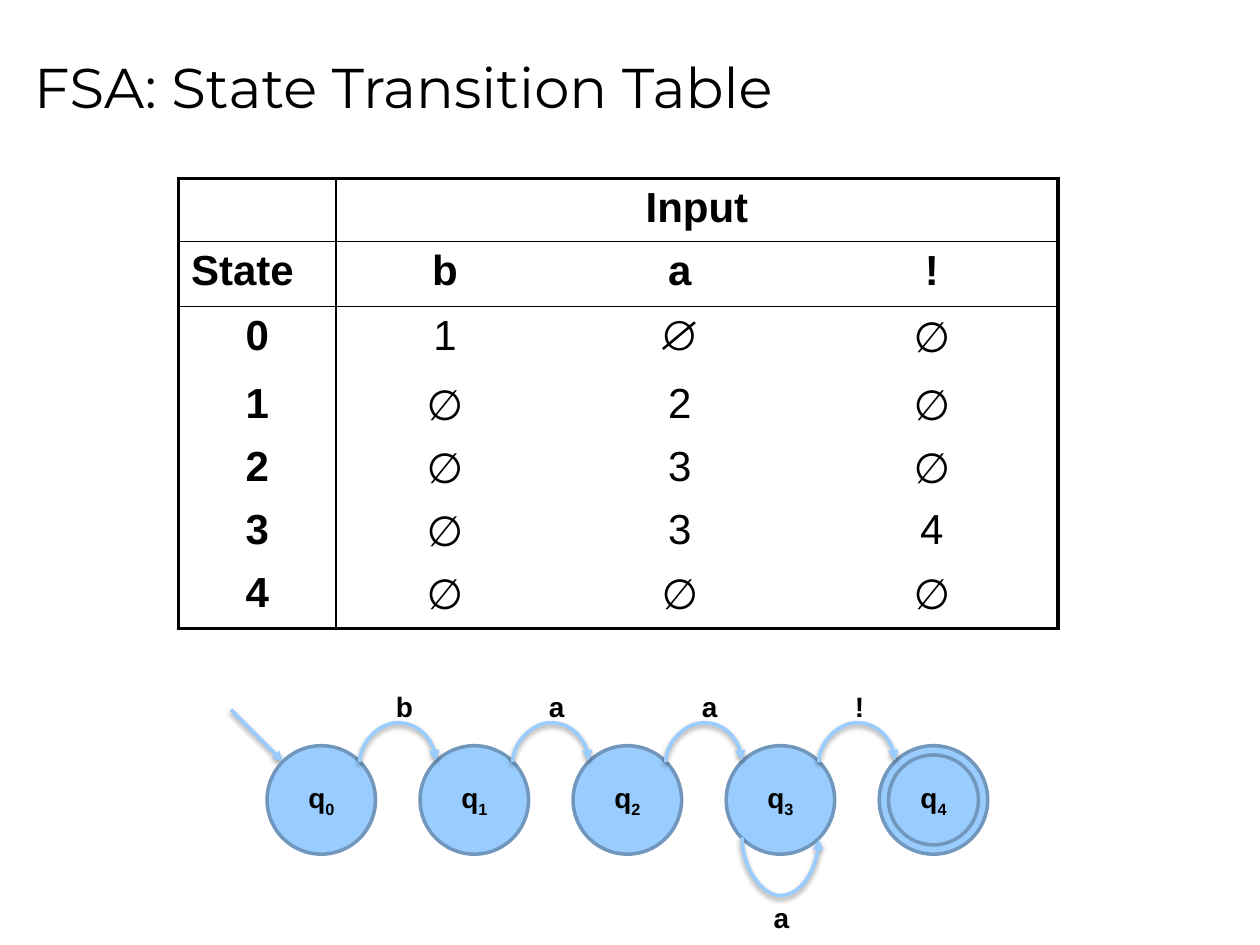
"""Build a slide with a state transition table and its automaton diagram."""
import math

import pptx
import pptx.dml.color
import pptx.enum.shapes
import pptx.enum.text
import pptx.oxml
import pptx.oxml.ns
import pptx.util

Pt = pptx.util.Pt
ALIGN = pptx.enum.text.PP_ALIGN
ANCHOR = pptx.enum.text.MSO_ANCHOR
CONNECTOR = pptx.enum.shapes.MSO_CONNECTOR
NAMESPACE = pptx.oxml.ns.nsdecls("a")

COLORS = {"text": "000000", "state": "99CCFF", "outline": "7197BD"}
TITLE = "FSA: State Transition Table"
TABLE_ROWS = [
    ["", "Input", "", ""],
    ["State", "b", "a", "!"],
    ["0", "1", "∅", "∅"],
    ["1", "∅", "2", "∅"],
    ["2", "∅", "3", "∅"],
    ["3", "∅", "3", "4"],
    ["4", "∅", "∅", "∅"],
]
COLUMN_WIDTHS = [90, 124.5, 144, 144]
ROW_HEIGHTS = [36, 37.2, 38.5, 34, 35.3, 36, 37.2]
TABLE_LEFT, TABLE_TOP = 102, 102
THICK, THIN = 2.25, 1
STATES = ["0", "1", "2", "3", "4"]
TRANSITIONS = ["b", "a", "a", "!"]
LOOP_STATE, LOOP_LABEL = 3, "a"
STATE_LEFT, STATE_TOP, STATE_SIZE, STATE_PITCH = 152.6, 426.1, 62, 87.45
RING_GAP = 5.3
CORNER = STATE_SIZE / 2 * (1 - math.sqrt(0.5))
CHORD = STATE_SIZE - 2 * CORNER
SITES = {"top left": 1, "bottom left": 3, "bottom right": 5, "top right": 7}


def rgb(name):
    return pptx.dml.color.RGBColor.from_string(COLORS[name])


def add_run(paragraph, text, size, font="Arial", bold=False):
    run = paragraph.add_run()
    run.text = text
    run.font.size, run.font.name, run.font.bold = Pt(size), font, bold
    run.font.color.rgb = rgb("text")
    return run


def add_text(slide, text, left, top, width, height, size, font, bold, wrap, anchor):
    box = slide.shapes.add_textbox(Pt(left), Pt(top), Pt(width), Pt(height))
    frame = box.text_frame
    frame.word_wrap, frame.vertical_anchor = wrap, anchor
    add_run(frame.paragraphs[0], text, size, font, bold)


def add_label(slide, text, left, top):
    add_text(slide, text, left, top, 21, 23, 16, "Arial", True, False, ANCHOR.TOP)


def set_borders(cell, row, column, last_column):
    last_row = len(TABLE_ROWS) - 1
    widths = {
        "L": THICK if column == 0 else THIN if column == 1 else 0,
        "R": THICK if last_column == len(COLUMN_WIDTHS) - 1 else THIN if column == 0 else 0,
        "T": THICK if row == 0 else THIN if row in (1, 2) else 0,
        "B": THICK if row == last_row else THIN if row in (0, 1) else 0,
    }
    properties = cell._tc.get_or_add_tcPr()
    for side, width in widths.items():
        paint = f'<a:solidFill><a:srgbClr val="{COLORS["text"]}"/></a:solidFill>' if width else "<a:noFill/>"
        properties.append(pptx.oxml.parse_xml(
            f'<a:ln{side} {NAMESPACE} w="{Pt(width)}">{paint}</a:ln{side}>'))


def add_transition_table(slide):
    frame = slide.shapes.add_table(
        len(ROW_HEIGHTS), len(COLUMN_WIDTHS), Pt(TABLE_LEFT), Pt(TABLE_TOP),
        Pt(sum(COLUMN_WIDTHS)), Pt(sum(ROW_HEIGHTS)))
    table = frame.table
    table.first_row = table.horz_banding = False
    for column, width in zip(table.columns, COLUMN_WIDTHS):
        column.width = Pt(width)
    for row, height in zip(table.rows, ROW_HEIGHTS):
        row.height = Pt(height)
    table.cell(0, 1).merge(table.cell(0, 3))
    for row, texts in enumerate(TABLE_ROWS):
        for column, text in enumerate(texts):
            cell = table.cell(row, column)
            last_column = 3 if cell.is_merge_origin else column
            set_borders(cell, row, column, last_column)
            cell.fill.background()
            if not text:
                continue
            paragraph = cell.text_frame.paragraphs[0]
            paragraph.alignment = ALIGN.LEFT if text == "State" else ALIGN.CENTER
            paragraph._p.get_or_add_pPr().append(pptx.oxml.parse_xml(
                f'<a:spcBef {NAMESPACE}><a:spcPct val="20000"/></a:spcBef>'))
            font = "Calibri" if text == "∅" and (row, column) != (2, 2) else "Arial"
            add_run(paragraph, text, 24, font, row < 2 or column == 0)


def add_circle(slide, left, top, size, name=None):
    circle = slide.shapes.add_shape(
        pptx.enum.shapes.MSO_SHAPE.OVAL, Pt(left), Pt(top), Pt(size), Pt(size))
    circle.shadow.inherit = False
    circle.fill.solid()
    circle.fill.fore_color.rgb = rgb("state")
    circle.line.color.rgb = rgb("outline")
    circle.line.width = Pt(2)
    if name:
        frame = circle.text_frame
        frame.vertical_anchor = ANCHOR.MIDDLE
        paragraph = frame.paragraphs[0]
        paragraph.alignment = ALIGN.CENTER
        add_run(paragraph, "q", 16, bold=True)
        subscript = add_run(paragraph, name, 16, bold=True)
        subscript.font._element.set("baseline", "-25000")
    return circle


def add_arrow(slide, kind, left, top, right, bottom):
    arrow = slide.shapes.add_connector(kind, Pt(left), Pt(top), Pt(right), Pt(bottom))
    arrow.line.color.rgb = rgb("state")
    arrow.line.width = Pt(2)
    arrow.line._get_or_add_ln().append(
        pptx.oxml.parse_xml(f'<a:tailEnd {NAMESPACE} type="triangle"/>'))
    arrow._element.spPr.append(pptx.oxml.parse_xml(
        f'<a:effectLst {NAMESPACE}><a:outerShdw blurRad="{Pt(3.1)}" dist="{Pt(1.6)}" dir="5400000" '
        f'rotWithShape="0"><a:srgbClr val="{COLORS["text"]}"><a:alpha val="38000"/></a:srgbClr>'
        '</a:outerShdw></a:effectLst>'))
    return arrow


def add_arc(slide, start, start_site, end, end_site, left, y, length, turn, bulge):
    middle = left + length / 2
    arrow = add_arrow(slide, CONNECTOR.CURVE, middle - 0.5, y - length / 2,
                      middle + 0.5, y + length / 2)
    frame = arrow._element.spPr.find(pptx.oxml.ns.qn("a:xfrm"))
    frame.set("rot", str(turn * 60000))
    frame.set("flipH", "1")
    if turn == 90:
        frame.set("flipV", "1")
    geometry = arrow._element.spPr.find(pptx.oxml.ns.qn("a:prstGeom"))
    guides = geometry.find(pptx.oxml.ns.qn("a:avLst"))
    guides.append(pptx.oxml.parse_xml(
        f'<a:gd {NAMESPACE} name="adj1" fmla="val {round(bulge * 100000)}"/>'))
    links = arrow._element.nvCxnSpPr.cNvCxnSpPr
    for link, circle, site in ((links.get_or_add_stCxn(), start, start_site),
                               (links.get_or_add_endCxn(), end, end_site)):
        link.id, link.idx = circle.shape_id, SITES[site]


def add_automaton(slide):
    lefts = [STATE_LEFT + index * STATE_PITCH for index in range(len(STATES))]
    upper, lower = STATE_TOP + CORNER, STATE_TOP + STATE_SIZE - CORNER
    add_arrow(slide, CONNECTOR.STRAIGHT, 132, 405.5, STATE_LEFT + CORNER, upper)
    circles = []
    for left, name in zip(lefts, STATES):
        final = name == STATES[-1]
        circles.append(add_circle(slide, left, STATE_TOP, STATE_SIZE, None if final else name))
        if final:
            add_circle(slide, left + RING_GAP, STATE_TOP + RING_GAP,
                       STATE_SIZE - 2 * RING_GAP, name)
    for index, label in enumerate(TRANSITIONS):
        left = lefts[index] + STATE_SIZE - CORNER
        add_arc(slide, circles[index], "top right", circles[index + 1], "top left",
                left, upper, STATE_PITCH - CHORD, 90, 22.83)
        add_label(slide, label, lefts[index] + 66.5, 390.2)
    loop = circles[LOOP_STATE]
    add_arc(slide, loop, "bottom left", loop, "bottom right",
            lefts[LOOP_STATE] + CORNER, lower, CHORD, 270, 33.44)
    add_label(slide, LOOP_LABEL, lefts[LOOP_STATE] + 20, 511.2)


def main():
    presentation = pptx.Presentation()
    presentation.slide_width, presentation.slide_height = Pt(720), Pt(540)
    slide = presentation.slides.add_slide(presentation.slide_layouts[6])
    add_text(slide, TITLE, 12.5, 8.5, 684, 81, 32, "Montserrat", False, True, ANCHOR.MIDDLE)
    add_transition_table(slide)
    add_automaton(slide)
    presentation.save("out.pptx")


if __name__ == "__main__":
    main()
